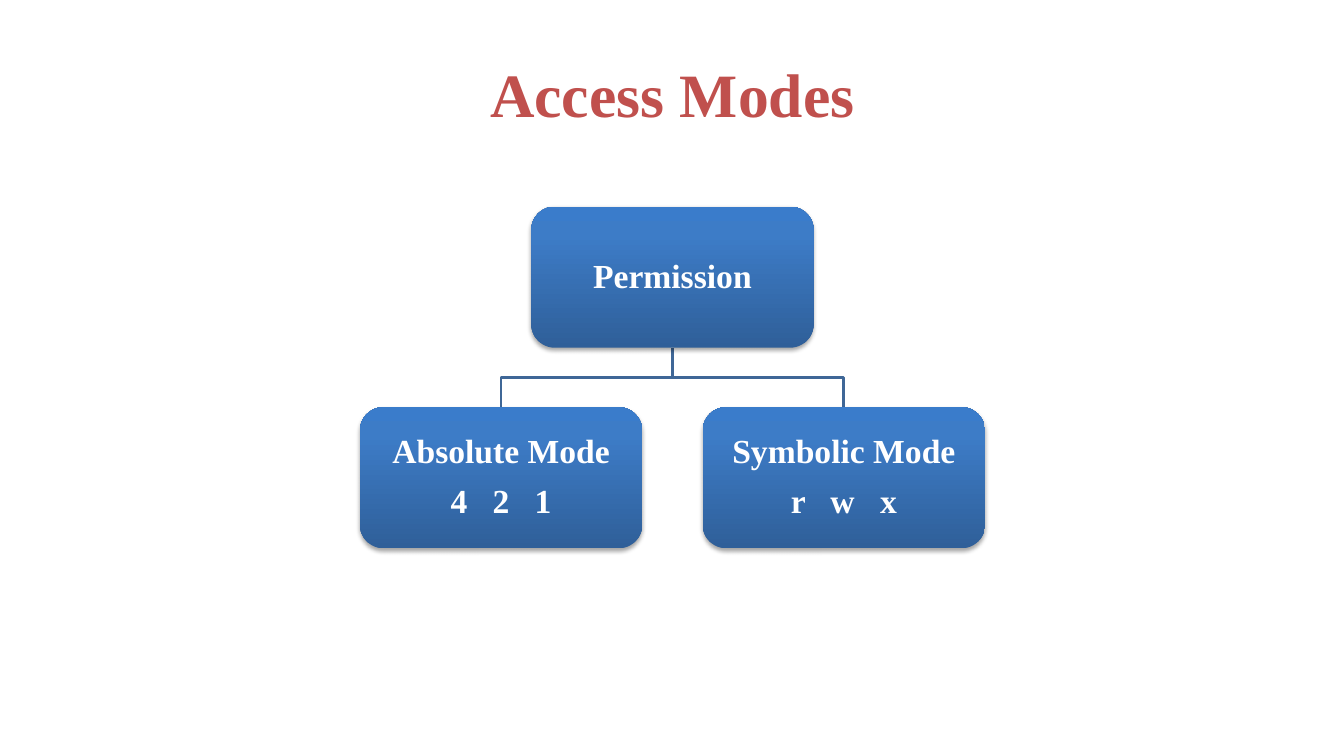
from copy import deepcopy

from lxml import etree
from pptx import Presentation
from pptx import util as u
from pptx.dml.color import RGBColor
from pptx.enum import shapes, text
from pptx.oxml import ns

TITLE_RED = RGBColor(0xC0, 0x50, 0x4D)
LINE_BLUE = RGBColor(0x3F, 0x67, 0x97)
WHITE = RGBColor(0xFF, 0xFF, 0xFF)
GRADIENT = [
    (0, RGBColor(0x2F, 0x5F, 0x99)),
    (0.8, RGBColor(0x3D, 0x7C, 0xC7)),
    (1, RGBColor(0x3A, 0x7C, 0xCB)),
]

CENTER = 6.67
BOX_WIDTH, BOX_HEIGHT = 2.8, 1.4
ROOT_TOP, MODE_TOP = 2.05, 4.04
MODE_OFFSET = 1.7
MODES = [(-MODE_OFFSET, "Absolute Mode", "4 2 1"), (MODE_OFFSET, "Symbolic Mode", "r w x")]


class Diagram:
    font_name = "Times New Roman"

    def __init__(self, slide):
        self.slide = slide

    def style(self, paragraph, size, color):
        paragraph.alignment = text.PP_ALIGN.CENTER
        font = paragraph.font
        font.name, font.size, font.bold = self.font_name, u.Pt(size), True
        font.color.rgb = color

    def title(self, wording):
        title = self.slide.shapes.title
        title.left, title.top = u.Inches(0.67), u.Inches(0.3)
        title.width, title.height = u.Inches(12), u.Inches(1.25)
        title.text_frame.text = wording
        title.text_frame.vertical_anchor = text.MSO_ANCHOR.MIDDLE
        self.style(title.text_frame.paragraphs[0], 44, TITLE_RED)

    def branch(self, start_y, end_x, end_y):
        middle_y = (start_y + end_y) / 2
        builder = self.slide.shapes.build_freeform(
            u.Inches(CENTER), u.Inches(start_y))
        corners = [(CENTER, middle_y), (end_x, middle_y), (end_x, end_y)]
        builder.add_line_segments(
            [(u.Inches(x), u.Inches(y)) for x, y in corners], close=False)
        shape = builder.convert_to_shape()
        shape.shadow.inherit = False
        shape.fill.background()
        shape.line.color.rgb = LINE_BLUE
        shape.line.width = u.Pt(2)

    def gradient(self, shape):
        shape.fill.gradient()
        shape.fill.gradient_angle = 90
        stop_list = shape._element.spPr.find(".//" + ns.qn("a:gsLst"))
        stop_list.append(deepcopy(stop_list[-1]))
        for stop, (position, color) in zip(shape.fill.gradient_stops, GRADIENT):
            stop.position = position
            stop.color.rgb = color

    def shadow(self, shape):
        shape.shadow.inherit = False
        effects = shape._element.spPr.find(ns.qn("a:effectLst"))
        outer = etree.SubElement(
            effects, ns.qn("a:outerShdw"), blurRad=str(u.Pt(3.1)),
            dist=str(u.Pt(1.8)), dir="5400000", rotWithShape="0")
        color = etree.SubElement(outer, ns.qn("a:srgbClr"), val="000000")
        etree.SubElement(color, ns.qn("a:alpha"), val="35000")

    def box(self, center_x, top, label, symbols=None):
        shape = self.slide.shapes.add_shape(
            shapes.MSO_SHAPE.ROUNDED_RECTANGLE,
            u.Inches(center_x - BOX_WIDTH / 2), u.Inches(top),
            u.Inches(BOX_WIDTH), u.Inches(BOX_HEIGHT))
        shape.adjustments[0] = 0.1667
        self.gradient(shape)
        self.shadow(shape)
        shape.line.fill.background()
        frame = shape.text_frame
        frame.word_wrap = True
        frame.vertical_anchor = text.MSO_ANCHOR.MIDDLE
        frame.margin_left = frame.margin_right = u.Inches(0.02)
        frame.margin_top = frame.margin_bottom = u.Inches(0.02)
        frame.text = label
        if symbols:
            paragraph = frame.add_paragraph()
            spaced = paragraph.add_run()
            spaced.text = symbols[:-1]
            spaced.font._element.set("spc", "600")
            paragraph.add_run().text = symbols[-1]
        for paragraph in frame.paragraphs:
            paragraph.line_spacing = 0.9
            paragraph.space_after = u.Pt(9.6)
            self.style(paragraph, 24, WHITE)


def main():
    presentation = Presentation()
    presentation.slide_width = u.Inches(13.33)
    presentation.slide_height = u.Inches(7.5)
    slide = presentation.slides.add_slide(presentation.slide_layouts[5])
    diagram = Diagram(slide)
    diagram.title("Access Modes")
    for offset, _, _ in MODES:
        diagram.branch(ROOT_TOP + BOX_HEIGHT, CENTER + offset, MODE_TOP)
    diagram.box(CENTER, ROOT_TOP, "Permission")
    for offset, label, symbols in MODES:
        diagram.box(CENTER + offset, MODE_TOP, label, symbols)
    presentation.save("out.pptx")


if __name__ == "__main__":
    main()
